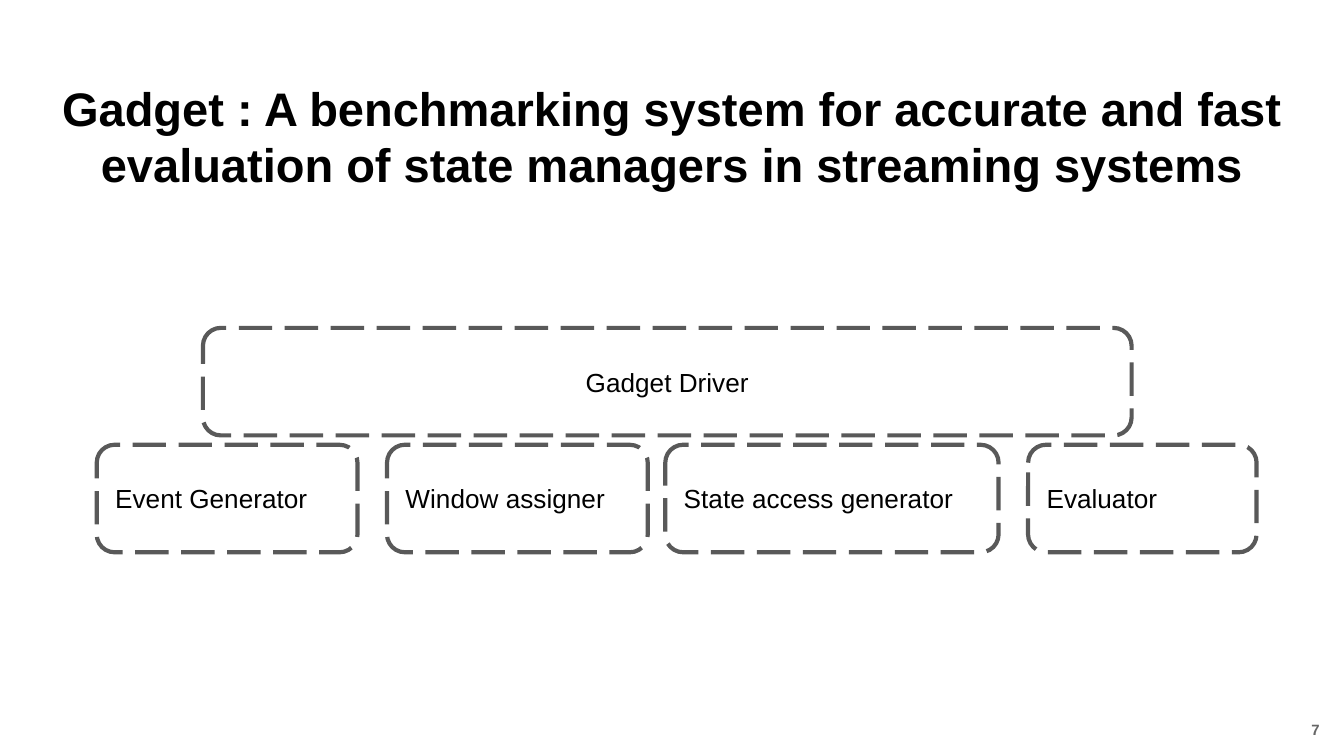
"""Build the Gadget architecture slide: a driver box above a row of four modules."""
from dataclasses import dataclass

from pptx import Presentation
from pptx.dml.color import RGBColor
from pptx.enum.dml import MSO_LINE
from pptx.enum.shapes import MSO_SHAPE
from pptx.enum.text import MSO_ANCHOR, PP_ALIGN
from pptx.util import Inches, Pt

ROUNDED = MSO_SHAPE.ROUNDED_RECTANGLE
LONG_DASH = MSO_LINE.LONG_DASH
TOP, MIDDLE = MSO_ANCHOR.TOP, MSO_ANCHOR.MIDDLE
LEFT, CENTER = PP_ALIGN.LEFT, PP_ALIGN.CENTER


@dataclass(frozen=True)
class Theme:
    font: str = "Arial"
    ink: RGBColor = RGBColor(0x00, 0x00, 0x00)
    outline: RGBColor = RGBColor(0x59, 0x59, 0x59)
    muted: RGBColor = RGBColor(0x66, 0x66, 0x66)
    title_size: float = 25.2
    label_size: float = 14
    number_size: float = 8
    outline_width: float = 2.25


THEME = Theme()
SLIDE_W = 10
SLIDE_H = SLIDE_W * 9 / 16
MARGIN = 0.34
INSET = 0.1

TITLE = ("Gadget : A benchmarking system for accurate and fast "
         "evaluation of state managers in streaming systems")
PAGE_NUMBER = "7"

# label, left and width in percent of the slide's width
LAYERS = [
    (CENTER, [("Gadget Driver", 15.1, 69.1)]),
    (LEFT, [
        ("Event Generator", 7.2, 19.4),
        ("Window assigner", 28.8, 19.4),
        ("State access generator", 49.5, 24.8),
        ("Evaluator", 76.5, 17),
    ]),
]
LAYERS_TOP, LAYER_H, LAYER_GAP = 2.44, 0.8, 0.07


def write(frame, text, size, color, align=LEFT, anchor=TOP, bold=False, wrap=True):
    """Fill a text frame with one formatted run."""
    frame.word_wrap = wrap
    frame.vertical_anchor = anchor
    frame.margin_left = frame.margin_right = Inches(INSET)
    frame.margin_top = frame.margin_bottom = Inches(INSET)
    paragraph = frame.paragraphs[0]
    paragraph.alignment = align
    run = paragraph.add_run()
    run.text = text
    run.font.name = THEME.font
    run.font.size = Pt(size)
    run.font.bold = bold
    run.font.color.rgb = color
    return paragraph


def add_title(slide):
    """Place and format the title placeholder."""
    title = slide.shapes.title
    title.left, title.top = Inches(MARGIN), Inches(0.49)
    title.width, title.height = Inches(SLIDE_W - 2 * MARGIN), Inches(0.98)
    paragraph = write(title.text_frame, TITLE, THEME.title_size, THEME.ink,
                      CENTER, bold=True)
    paragraph.space_before = Pt(0)
    paragraph.line_spacing = 1.0


def add_component(slide, label, left, top, width, align):
    """Draw one dashed, rounded component box."""
    component = slide.shapes.add_shape(
        ROUNDED, Inches(left), Inches(top), Inches(width), Inches(LAYER_H))
    component.shadow.inherit = False
    component.fill.background()
    component.line.color.rgb = THEME.outline
    component.line.width = Pt(THEME.outline_width)
    component.line.dash_style = LONG_DASH
    write(component.text_frame, label, THEME.label_size, THEME.ink, align, MIDDLE)


def add_page_number(slide):
    """Put the page number in the bottom right corner."""
    number = slide.shapes.add_textbox(
        Inches(SLIDE_W - MARGIN), Inches(SLIDE_H - 0.33), Inches(MARGIN), Inches(0.33))
    write(number.text_frame, PAGE_NUMBER, THEME.number_size, THEME.muted,
          bold=True, wrap=False)


def main():
    """Assemble and save the slide."""
    deck = Presentation()
    deck.slide_width, deck.slide_height = Inches(SLIDE_W), Inches(SLIDE_H)
    slide = deck.slides.add_slide(deck.slide_layouts[5])
    add_title(slide)
    for row, (align, components) in reversed(list(enumerate(LAYERS))):
        top = LAYERS_TOP + row * (LAYER_H + LAYER_GAP)
        for label, left, width in components:
            add_component(slide, label, left * SLIDE_W / 100, top,
                          width * SLIDE_W / 100, align)
    add_page_number(slide)
    deck.save("out.pptx")


if __name__ == "__main__":
    main()
